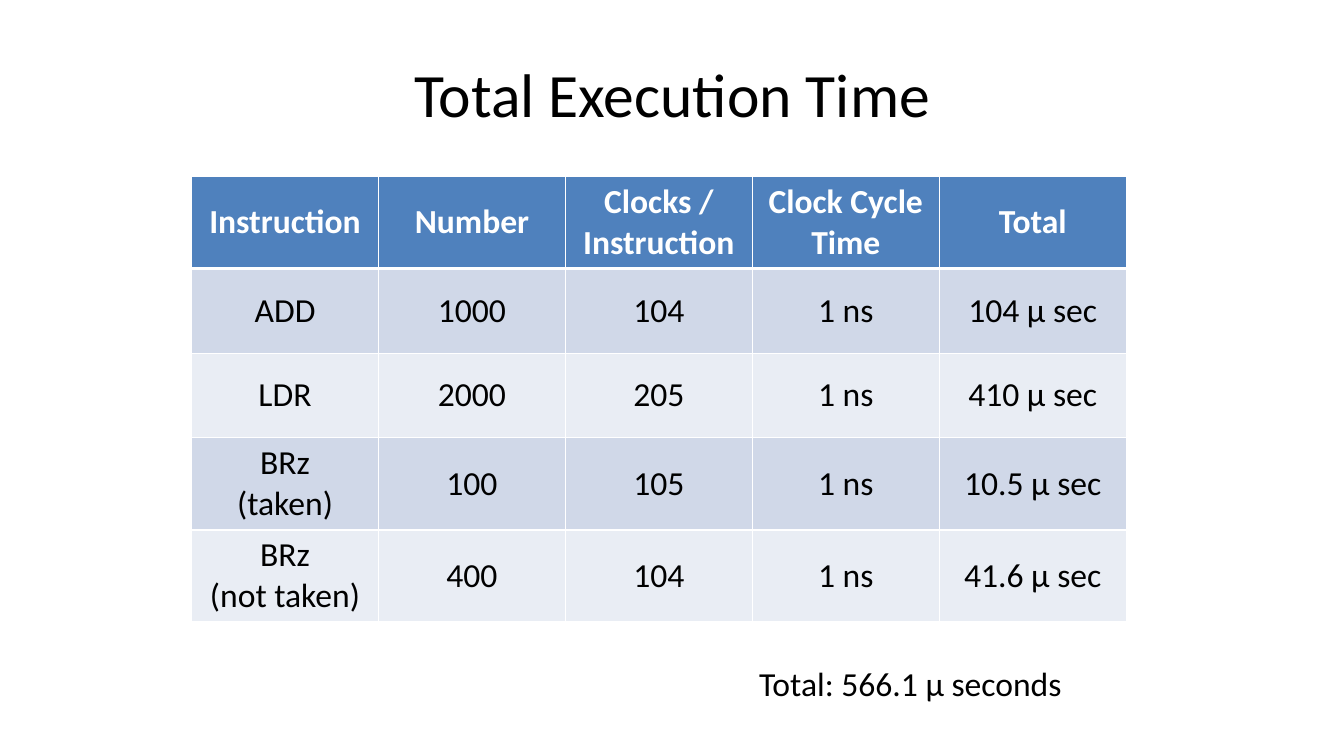
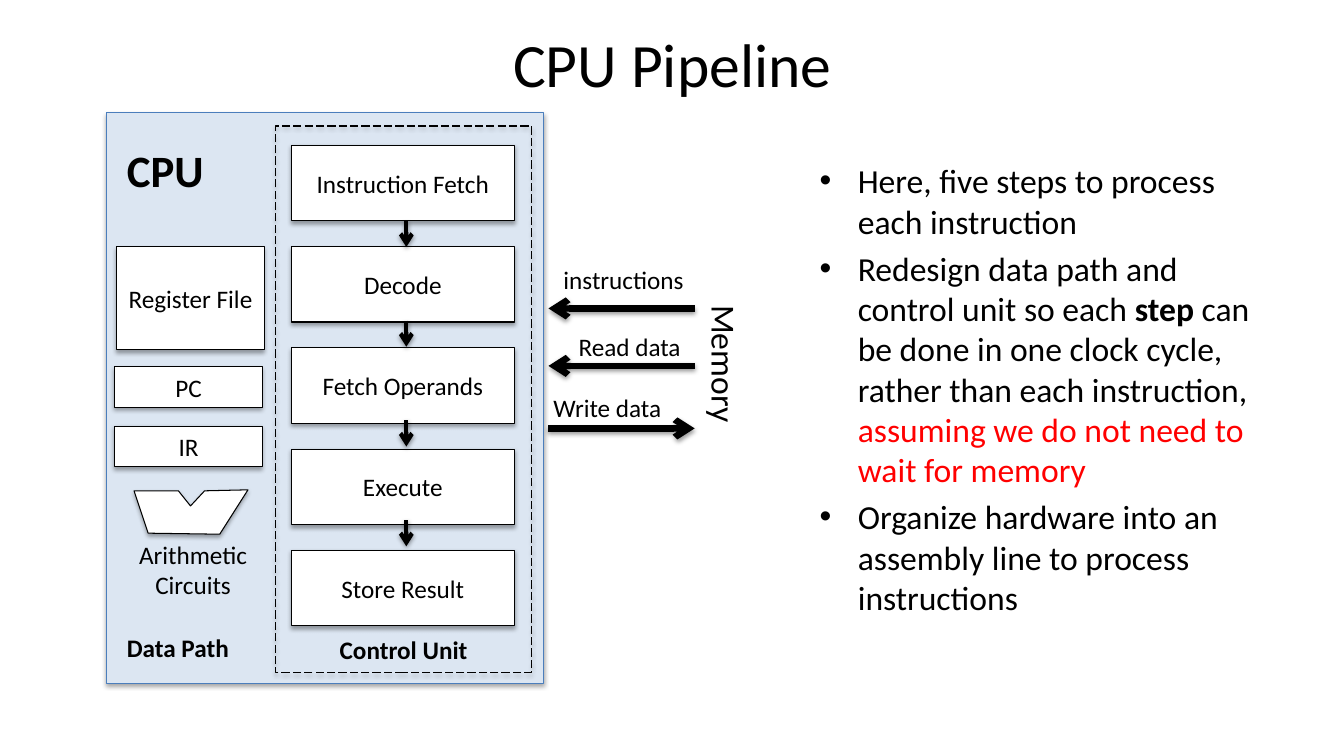
from lxml import etree
from pptx import Presentation
from pptx.dml.color import RGBColor
from pptx.enum.dml import MSO_LINE
from pptx.enum.shapes import MSO_CONNECTOR, MSO_SHAPE
from pptx.enum.text import MSO_ANCHOR, MSO_AUTO_SIZE, PP_ALIGN
from pptx.oxml.ns import qn
from pptx.util import Inches, Pt

RECTANGLE = MSO_SHAPE.RECTANGLE
STRAIGHT = MSO_CONNECTOR.STRAIGHT
LONG_DASH = MSO_LINE.LONG_DASH
MIDDLE, TOP = MSO_ANCHOR.MIDDLE, MSO_ANCHOR.TOP
CENTER, LEFT = PP_ALIGN.CENTER, PP_ALIGN.LEFT
NO_FIT = MSO_AUTO_SIZE.NONE
TITLE_ONLY = 5

COLORS = {
    "ink": "000000", "paper": "FFFFFF", "accent": "FF0000",
    "header": "4F81BD", "odd_row": "D0D8E8", "even_row": "E9EDF4",
    "cpu_fill": "DCE6F2", "cpu_line": "4B7EBC",
}
FONT = "Calibri"
TITLE = {"size": Pt(44)}
LARGE = {"size": Pt(24)}
LABEL = {"size": Pt(18)}
LABEL_BOLD = {"size": Pt(18), "bold": True}
CPU_LABEL = {"size": Pt(32), "bold": True}
HEADER = {"size": Pt(24), "bold": True}
BODY = {"size": Pt(24), "bold": False}
SHAPE_SHADOW = {"blurRad": 40000, "dist": 23000, "alpha": 35000}
LINE_SHADOW = {"blurRad": 40000, "dist": 20000, "alpha": 38000}

TABLE_ROWS = [
    ["Instruction", "Number", "Clocks / Instruction", "Clock Cycle Time", "Total"],
    ["ADD", "1000", "104", "1 ns", "104 µ sec"],
    ["LDR", "2000", "205", "1 ns", "410 µ sec"],
    ["BRz\n(taken)", "100", "105", "1 ns", "10.5 µ sec"],
    ["BRz\n(not taken)", "400", "104", "1 ns", "41.6 µ sec"],
]
STEPS = ["Instruction Fetch", "Decode", "Fetch Operands", "Execute", "Store Result"]
BULLETS = [
    [("Here, five steps to process each instruction", False, "ink")],
    [("Redesign data path and control unit so each ", False, "ink"),
     ("step ", True, "ink"),
     ("can be done in one clock cycle, rather than each instruction, ", False, "ink"),
     ("assuming we do not need to wait for memory", False, "accent")],
    [("Organize hardware into an assembly line to process instructions", False, "ink")],
]


def rgb(name):
    return RGBColor.from_string(COLORS[name])


def format_font(font, values, color="ink"):
    for name, value in {"name": FONT, **values}.items():
        setattr(font, name, value)
    font.color.rgb = rgb(color)


def fill_text(frame, text, values, color="ink", align=CENTER, anchor=MIDDLE):
    frame.text = text
    frame.vertical_anchor = anchor
    for paragraph in frame.paragraphs:
        paragraph.alignment = align
        for run in paragraph.runs:
            format_font(run.font, values, color)


def add_shadow(properties, shadow):
    effects = properties.find(qn("a:effectLst"))
    if effects is None:
        effects = etree.SubElement(properties, qn("a:effectLst"))
    outer = etree.SubElement(effects, qn("a:outerShdw"), dir="5400000", rotWithShape="0",
                             blurRad=str(shadow["blurRad"]), dist=str(shadow["dist"]))
    color = etree.SubElement(outer, qn("a:srgbClr"), val=COLORS["ink"])
    etree.SubElement(color, qn("a:alpha"), val=str(shadow["alpha"]))


def finish_shape(shape, fill="paper", line="ink"):
    if fill:
        shape.fill.solid()
        shape.fill.fore_color.rgb = rgb(fill)
    else:
        shape.fill.background()
    shape.line.color.rgb = rgb(line)
    shape.line.width = Pt(0.75)
    shape.shadow.inherit = False
    add_shadow(shape.element.spPr, SHAPE_SHADOW)


def add_box(slide, box, text="", fill="paper", line="ink"):
    shape = slide.shapes.add_shape(RECTANGLE, *map(Inches, box))
    finish_shape(shape, fill, line)
    if text:
        fill_text(shape.text_frame, text, LABEL)
    return shape


def add_label(slide, box, text, values=LABEL, align=LEFT):
    label = slide.shapes.add_textbox(*map(Inches, box))
    label.text_frame.word_wrap = False
    fill_text(label.text_frame, text, values, align=align, anchor=TOP)
    return label


def add_arrow(slide, start, end, width):
    arrow = slide.shapes.add_connector(STRAIGHT, *map(Inches, (*start, *end)))
    arrow.line.color.rgb = rgb("ink")
    arrow.line.width = Pt(width)
    etree.SubElement(arrow.line._get_or_add_ln(), qn("a:tailEnd"), type="arrow")
    add_shadow(arrow.element.spPr, LINE_SHADOW)


def add_titled_slide(presentation, text, box):
    slide = presentation.slides.add_slide(presentation.slide_layouts[TITLE_ONLY])
    title = slide.shapes.title
    title.left, title.top, title.width, title.height = map(Inches, box)
    title.text_frame.auto_size = NO_FIT
    fill_text(title.text_frame, text, TITLE)
    return slide


def set_borders(cell, widths):
    properties = cell._tc.get_or_add_tcPr()
    for index, (side, width) in enumerate(widths.items()):
        line = etree.Element(qn(f"a:ln{side}"), w=str(Pt(width)))
        fill = etree.SubElement(line, qn("a:solidFill"))
        etree.SubElement(fill, qn("a:srgbClr"), val=COLORS["paper"])
        properties.insert(index, line)


def add_instruction_table(slide, box):
    table = slide.shapes.add_table(len(TABLE_ROWS), len(TABLE_ROWS[0]),
                                   *map(Inches, box)).table
    for row_index, values in enumerate(TABLE_ROWS):
        is_header = row_index == 0
        table.rows[row_index].height = Inches(0.9 if is_header else 0.84)
        fill = "header" if is_header else ("even_row", "odd_row")[row_index % 2]
        widths = {"L": 1, "R": 1, "T": 3 if row_index == 1 else 1,
                  "B": 3 if is_header else 1}
        for column_index, text in enumerate(values):
            cell = table.cell(row_index, column_index)
            cell.fill.solid()
            cell.fill.fore_color.rgb = rgb(fill)
            cell.vertical_anchor = MIDDLE
            fill_text(cell.text_frame, text, HEADER if is_header else BODY,
                      "paper" if is_header else "ink")
            cell.vertical_anchor = MIDDLE
            set_borders(cell, widths)


def add_data_path(slide, left, top):
    add_label(slide, (left + 0.1, top + 0.25, 0.97, 0.64), "CPU", CPU_LABEL)
    add_box(slide, (left + 0.1, top + 1.33, 1.46, 1.02), "Register File")
    for index, name in enumerate(("PC", "IR")):
        add_box(slide, (left + 0.08, top + 2.52 + 0.59 * index, 1.46, 0.4), name)
    outline = [(0, 0), (0.44, 0), (0.56, 0.15), (0.7, 0),
               (1.13, -0.01), (0.85, 0.43), (0.14, 0.42)]
    points = [(Inches(left + 0.27 + x), Inches(top + 3.75 + y)) for x, y in outline]
    builder = slide.shapes.build_freeform(*points[0])
    builder.add_line_segments(points[1:], close=True)
    finish_shape(builder.convert_to_shape())
    add_label(slide, (left + 0.21, top + 4.18, 1.29, 0.71),
              "Arithmetic\nCircuits", align=CENTER)
    add_label(slide, (left + 0.1, top + 5.1, 1.24, 0.4), "Data Path", LABEL_BOLD)


def add_control_unit(slide, box):
    left, top = box[:2]
    frame = add_box(slide, box, fill=None)
    frame.line.dash_style = LONG_DASH
    for index, step in enumerate(STEPS):
        add_box(slide, (left + 0.16, top + 0.19 + 1.005 * index, 2.21, 0.75), step)
    for index in range(len(STEPS) - 1):
        x, y = left + 1.3, top + 0.94 + 0.99 * index
        add_arrow(slide, (x, y), (x, y + 0.26), 3)
    add_label(slide, (left + 0.54, top + 4.99, 1.49, 0.4), "Control Unit", LABEL_BOLD)


def add_memory_bus(slide, left, top):
    near, far = left + 0.05, left + 1.5
    transfers = [("instructions", 0.1, 1.41, 0, 0.49, far, near),
                 ("Read data", 0.25, 1.23, 0.67, 1.06, far, near),
                 ("Write data", 0, 1.3, 1.27, 1.68, near, far)]
    for text, indent, width, label_y, arrow_y, start, end in transfers:
        add_label(slide, (left + indent, top + label_y, width, 0.4), text)
        add_arrow(slide, (start, top + arrow_y), (end, top + arrow_y), 4.5)
    memory = add_label(slide, (left + 1.11, top + 0.8, 1.38, 0.5), "Memory", LARGE)
    memory.rotation = 90


def add_bullets(slide, box):
    frame = slide.shapes.add_textbox(*map(Inches, box)).text_frame
    frame.word_wrap = True
    for index, parts in enumerate(BULLETS):
        paragraph = frame.add_paragraph() if index else frame.paragraphs[0]
        paragraph.space_before = Pt(4.8)
        properties = paragraph._p.get_or_add_pPr()
        properties.set("marL", str(Inches(0.38)))
        properties.set("indent", str(Inches(-0.38)))
        etree.SubElement(properties, qn("a:buFont"), typeface="Arial")
        etree.SubElement(properties, qn("a:buChar"), char="•")
        for text, bold, color in parts:
            run = paragraph.add_run()
            run.text = text
            format_font(run.font, {**LARGE, "bold": bold}, color)


def build_execution_time(presentation):
    slide = add_titled_slide(presentation, "Total Execution Time", (0.67, 0.3, 12, 1.25))
    add_instruction_table(slide, (1.9, 1.75, 9.27, 4.26))
    add_label(slide, (7.43, 6.53, 3.23, 0.5), "Total: 566.1 µ seconds", LARGE)


def build_pipeline(presentation):
    slide = add_titled_slide(presentation, "CPU Pipeline", (2.17, 0, 9, 1.25))
    left, top, width, height = 1.06, 1.12, 4.33, 5.66
    add_box(slide, (left, top, width, height), fill="cpu_fill", line="cpu_line")
    add_data_path(slide, left, top)
    add_control_unit(slide, (left + 1.67, top + 0.13, 2.54, 5.42))
    add_memory_bus(slide, left + width, top + 1.45)
    add_bullets(slide, (8.03, 1.54, 4.77, 5.39))


presentation = Presentation()
presentation.slide_width = Inches(13.33)
presentation.slide_height = Inches(7.5)
build_execution_time(presentation)
build_pipeline(presentation)
presentation.save("out.pptx")
